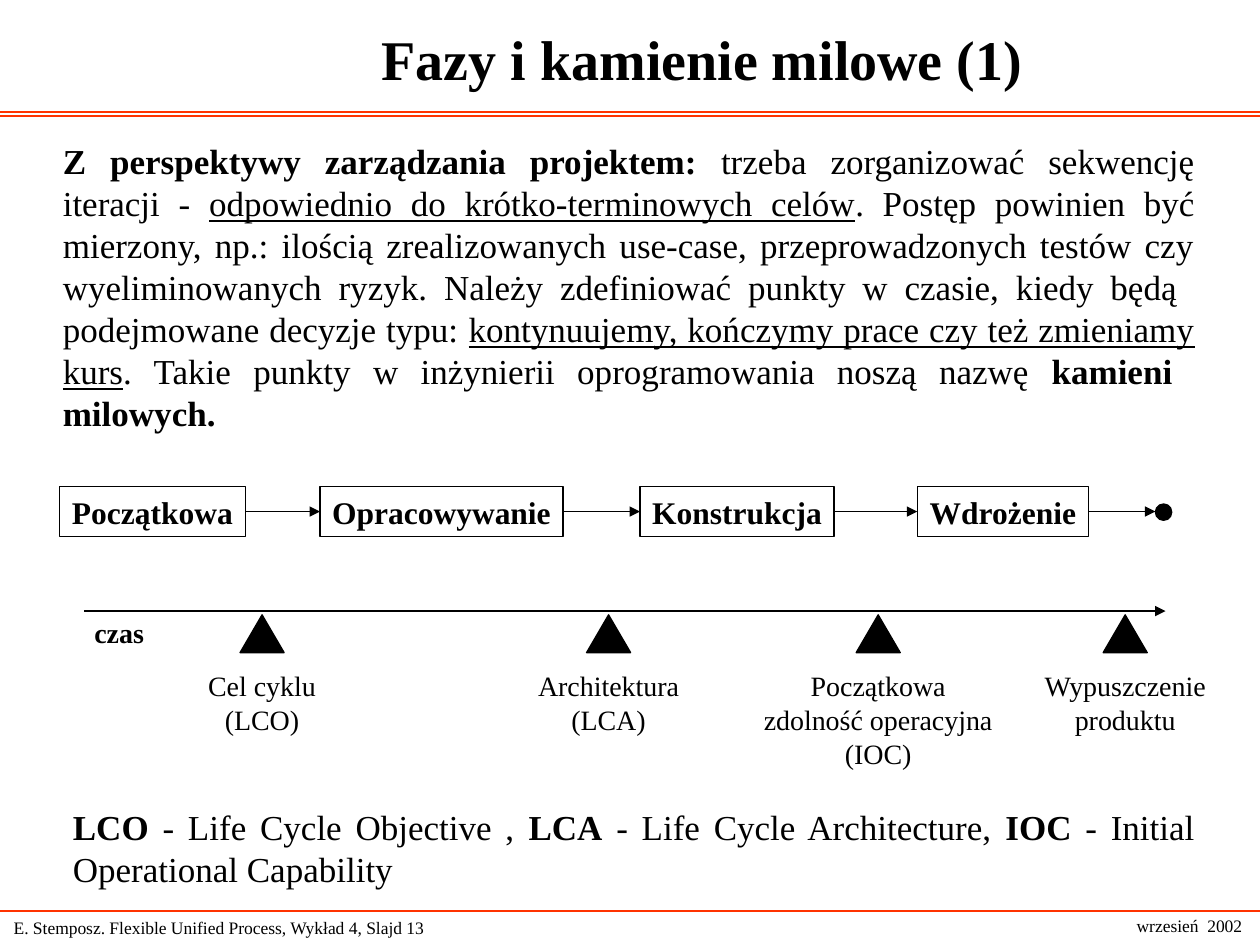
from lxml import etree
from pptx import Presentation
from pptx.dml.color import RGBColor
from pptx.enum.shapes import MSO_CONNECTOR, MSO_SHAPE
from pptx.enum.text import MSO_ANCHOR as ANCHOR, MSO_AUTO_SIZE, PP_ALIGN as ALIGN
from pptx.oxml.ns import qn
from pptx.util import Inches, Pt

rgb = RGBColor.from_string
BLACK, WHITE, RED = "000000", "FFFFFF", "FF3300"

prs = Presentation()
prs.slide_width, prs.slide_height = Inches(10), Inches(7.5)
slide = prs.slides.add_slide(prs.slide_layouts[5])
shapes = slide.shapes


def write(frame, *paragraphs, size=16, bold=False, align=ALIGN.LEFT, anchor=ANCHOR.TOP, wrap=True):
    frame.auto_size = MSO_AUTO_SIZE.NONE
    frame.word_wrap = wrap
    frame.vertical_anchor = anchor
    frame.margin_left = frame.margin_right = Inches(0.1)
    frame.margin_top = frame.margin_bottom = Inches(0.05)
    for number, runs in enumerate(paragraphs):
        paragraph = frame.add_paragraph() if number else frame.paragraphs[0]
        paragraph.alignment = align
        for text, style in [(runs, "")] if isinstance(runs, str) else runs:
            run = paragraph.add_run()
            run.text = text
            run.font.name = "Times New Roman"
            run.font.size = Pt(size)
            run.font.bold = bold or style == "bold"
            run.font.underline = style == "underline"
            run.font.color.rgb = rgb(BLACK)


def draw_line(x1, y1, x2, y2, color=BLACK, arrow=False):
    line = shapes.add_connector(
        MSO_CONNECTOR.STRAIGHT, Inches(x1), Inches(y1), Inches(x2), Inches(y2))
    line.line.color.rgb = rgb(color)
    line.line.width = Pt(0.75)
    properties = line._element.spPr
    etree.SubElement(properties, qn("a:effectLst"))
    if arrow:
        etree.SubElement(properties.find(qn("a:ln")), qn("a:tailEnd"), type="triangle")
    return line


for rule_y in (0.89, 0.92, 7.23):
    draw_line(0, rule_y, 10, rule_y, RED)

title = shapes.title
title.left, title.top, title.width, title.height = Inches(1.16), Inches(0), Inches(8.83), Inches(0.92)
write(title.text_frame, "Fazy i kamienie milowe (1)", size=32, bold=True,
      align=ALIGN.CENTER, anchor=ANCHOR.MIDDLE)

footer = shapes.add_textbox(Inches(0.01), Inches(7.23), Inches(4.48), Inches(0.27))
write(footer.text_frame, "E. Stemposz. Flexible Unified Process, Wykład 4, Slajd 13",
      size=10, anchor=ANCHOR.MIDDLE)
date = shapes.add_textbox(Inches(8.92), Inches(7.21), Inches(1.04), Inches(0.27))
write(date.text_frame, "wrzesień  2002", size=10, align=ALIGN.CENTER,
      anchor=ANCHOR.MIDDLE, wrap=False)

perspective = shapes.add_textbox(Inches(0.4), Inches(1.06), Inches(9.18), Inches(2.44))
write(perspective.text_frame, [
    ("Z perspektywy zarządzania projektem:", "bold"),
    (" trzeba zorganizować sekwencję iteracji - ", ""),
    ("odpowiednio do krótko-terminowych celów", "underline"),
    (". Postęp powinien być mierzony, np.: ilością zrealizowanych use-case, "
     "przeprowadzonych testów czy wyeliminowanych ryzyk. Należy zdefiniować "
     "punkty w czasie, kiedy będą  podejmowane decyzje typu: ", ""),
    ("kontynuujemy, kończymy prace czy też zmieniamy kurs", "underline"),
    (". Takie punkty w inżynierii oprogramowania noszą nazwę ", ""),
    ("kamieni  milowych.", "bold"),
], size=20, align=ALIGN.JUSTIFY)

phases = []
for name, left, width in [("Początkowa", 0.47, 1.48), ("Opracowywanie", 2.54, 1.93),
                          ("Konstrukcja", 5.08, 1.54), ("Wdrożenie", 7.28, 1.36)]:
    phase = shapes.add_shape(
        MSO_SHAPE.RECTANGLE, Inches(left), Inches(3.86), Inches(width), Inches(0.4))
    phase.fill.solid()
    phase.fill.fore_color.rgb = rgb(WHITE)
    write(phase.text_frame, name, size=18, bold=True, align=ALIGN.CENTER,
          anchor=ANCHOR.MIDDLE, wrap=False)
    phases.append(phase)

end_dot = shapes.add_shape(MSO_SHAPE.OVAL, Inches(9.17), Inches(4), Inches(0.13), Inches(0.13))

for phase, following in zip(phases, phases[1:] + [None]):
    step = draw_line(8.64, 4.06, 9.17, 4.06, arrow=True)
    step.begin_connect(phase, 3)
    if following:
        step.end_connect(following, 1)

draw_line(0.67, 4.85, 9.25, 4.85, arrow=True)
time_label = shapes.add_textbox(Inches(0.65), Inches(4.84), Inches(0.59), Inches(0.37))
write(time_label.text_frame, "czas", bold=True, wrap=False)

markers = []
for center, width, lines in [
    (2.08, 1.05, ["Cel cyklu", "(LCO)"]),
    (4.83, 1.32, ["Architektura", "(LCA)"]),
    (6.97, 2.01, ["Początkowa", "zdolność operacyjna", "(IOC)"]),
    (8.93, 1.49, ["Wypuszczenie", "produktu"]),
]:
    markers.append(shapes.add_shape(
        MSO_SHAPE.ISOSCELES_TRIANGLE, Inches(center - 0.175), Inches(4.88), Inches(0.35), Inches(0.3)))
    milestone = shapes.add_textbox(
        Inches(center - width / 2), Inches(5.26), Inches(width), Inches(0.1 + 0.27 * len(lines)))
    write(milestone.text_frame, *lines, align=ALIGN.CENTER, wrap=False)

for mark in [end_dot] + markers:
    mark.fill.solid()
    mark.fill.fore_color.rgb = rgb(BLACK)
for outlined in phases + [end_dot] + markers:
    outlined.shadow.inherit = False
    outlined.line.color.rgb = rgb(BLACK)
    outlined.line.width = Pt(0.75)

legend = shapes.add_textbox(Inches(0.48), Inches(6.34), Inches(9.1), Inches(0.77))
write(legend.text_frame, [
    ("LCO", "bold"), (" - Life Cycle Objective , ", ""),
    ("LCA", "bold"), (" - Life Cycle Architecture, ", ""),
    ("IOC", "bold"), (" - Initial Operational Capability", ""),
], size=20, align=ALIGN.JUSTIFY)

prs.save("out.pptx")
